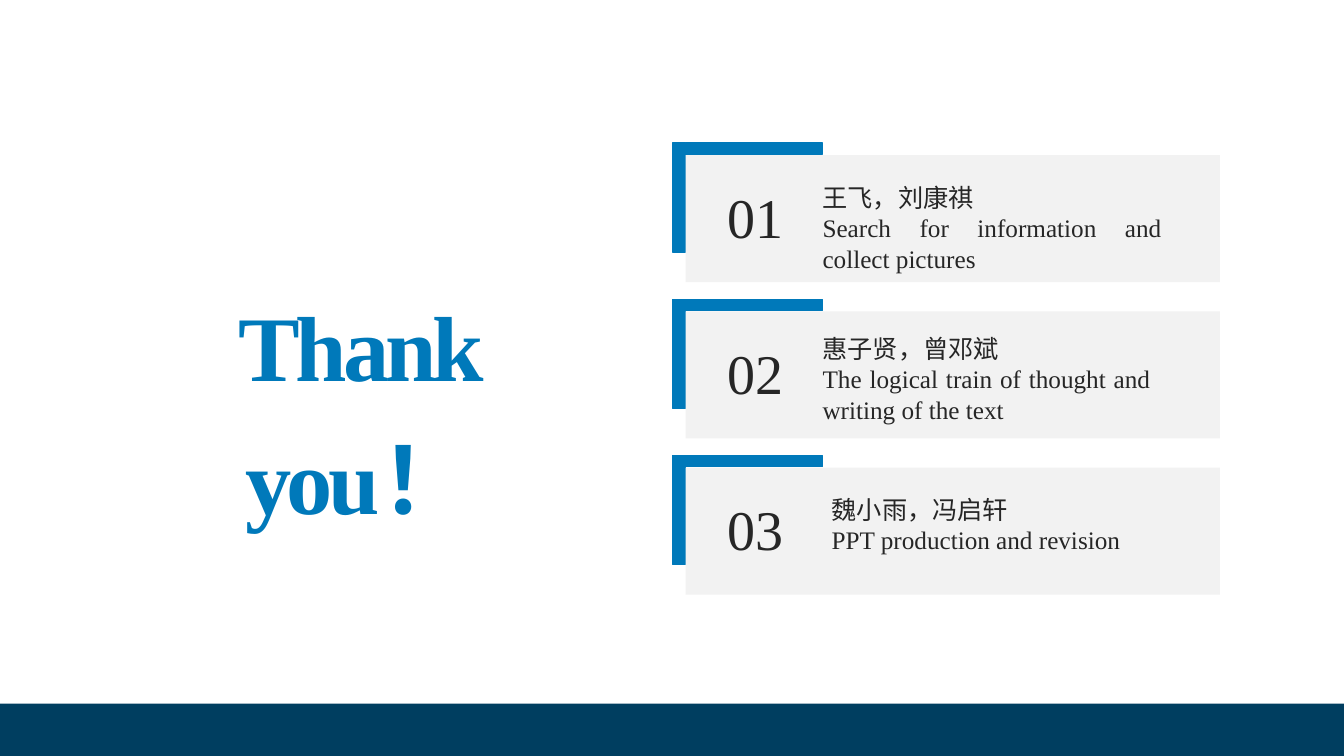
from dataclasses import dataclass

from pptx import Presentation
from pptx.dml.color import RGBColor
from pptx.enum.shapes import MSO_SHAPE
from pptx.enum.text import MSO_AUTO_SIZE, PP_ALIGN
from pptx.util import Inches, Pt


@dataclass(frozen=True)
class Theme:
    font: str = "Times New Roman"
    accent: RGBColor = RGBColor(0x00, 0x79, 0xBA)
    footer: RGBColor = RGBColor(0x00, 0x3E, 0x60)
    card: RGBColor = RGBColor(0xF2, 0xF2, 0xF2)
    ink: RGBColor = RGBColor(0x26, 0x26, 0x26)
    title_size: Pt = Pt(66)
    number_size: Pt = Pt(40)
    body_size: Pt = Pt(18)


theme = Theme()

prs = Presentation()
prs.slide_width = Inches(13.33)
prs.slide_height = Inches(7.5)
slide = prs.slides.add_slide(prs.slide_layouts[6])


def add_block(left, top, width, height, color, outlined=False):
    block = slide.shapes.add_shape(
        MSO_SHAPE.RECTANGLE, Inches(left), Inches(top), Inches(width), Inches(height))
    block.shadow.inherit = False
    block.fill.solid()
    block.fill.fore_color.rgb = color
    if outlined:
        block.line.color.rgb = color
        block.line.width = Pt(1)
    else:
        block.line.fill.background()


def add_text(left, top, width, height, lines, size, color, align):
    """Add a wrapping text box with one paragraph per line and return its paragraphs."""
    box = slide.shapes.add_textbox(
        Inches(left), Inches(top), Inches(width), Inches(height))
    frame = box.text_frame
    frame.word_wrap = True
    frame.auto_size = MSO_AUTO_SIZE.SHAPE_TO_FIT_TEXT
    frame.text = "\n".join(lines)
    for paragraph in frame.paragraphs:
        paragraph.alignment = align
        paragraph.font.name = theme.font
        paragraph.font.size = size
        paragraph.font.color.rgb = color
    return frame.paragraphs


# Closing words and footer band
closing = add_text(1.37, 2.6, 4.38, 1.32, ["Thank you！"],
                   theme.title_size, theme.accent, PP_ALIGN.CENTER)[0]
closing.line_spacing = 1.2
closing.font.bold = True
closing.runs[0].font.bold = True
closing.runs[0]._r.get_or_add_rPr().set("spc", "-300")
add_block(0, 6.98, 13.33, 0.52, theme.footer)

# Team cards: names, task, then left, top, width and height of the text
members = [
    ("王飞，刘康祺", "Search for information and collect pictures",
     (8.06, 1.76, 3.56, 1.01)),
    ("惠子贤，曾邓斌", "The logical train of thought and writing of the text",
     (8.06, 3.26, 3.45, 1.01)),
    ("魏小雨，冯启轩", "PPT production and revision",
     (8.15, 4.85, 3.46, 0.71)),
]
first_top, pitch = 1.42, 1.55

for index, (names, task, text_area) in enumerate(members):
    top = first_top + index * pitch
    add_block(6.67, top, 0.13, 1.08, theme.accent, outlined=True)
    add_block(6.8, top, 1.36, 0.11, theme.accent, outlined=True)
    add_block(6.8, top + 0.12, 5.3, 1.26, theme.card)
    add_text(6.93, top + 0.34, 1.13, 0.77, [f"{index + 1:02d}"],
             theme.number_size, theme.ink, PP_ALIGN.CENTER)
    add_text(*text_area, [names, task],
             theme.body_size, theme.ink, PP_ALIGN.JUSTIFY)

prs.save("out.pptx")
